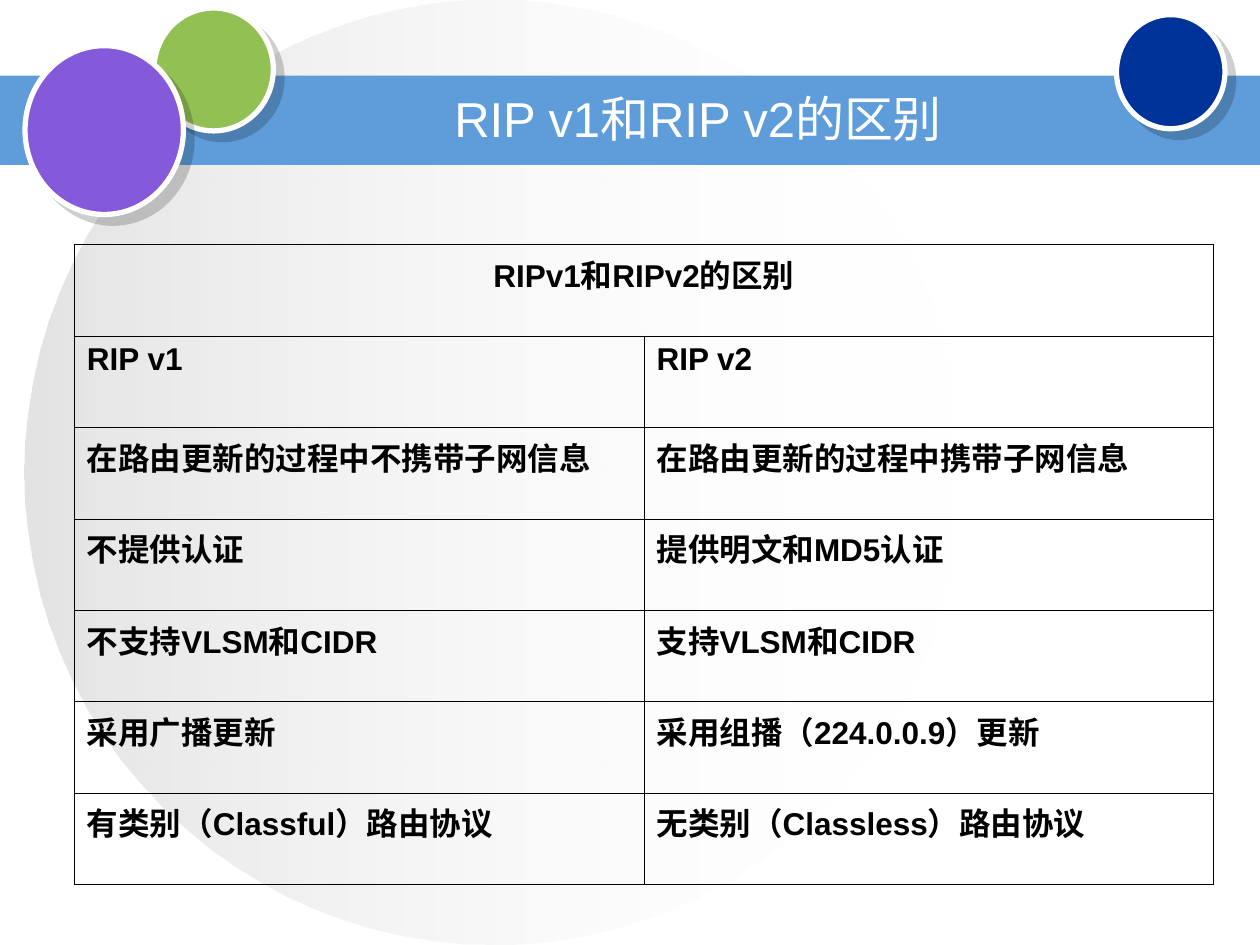
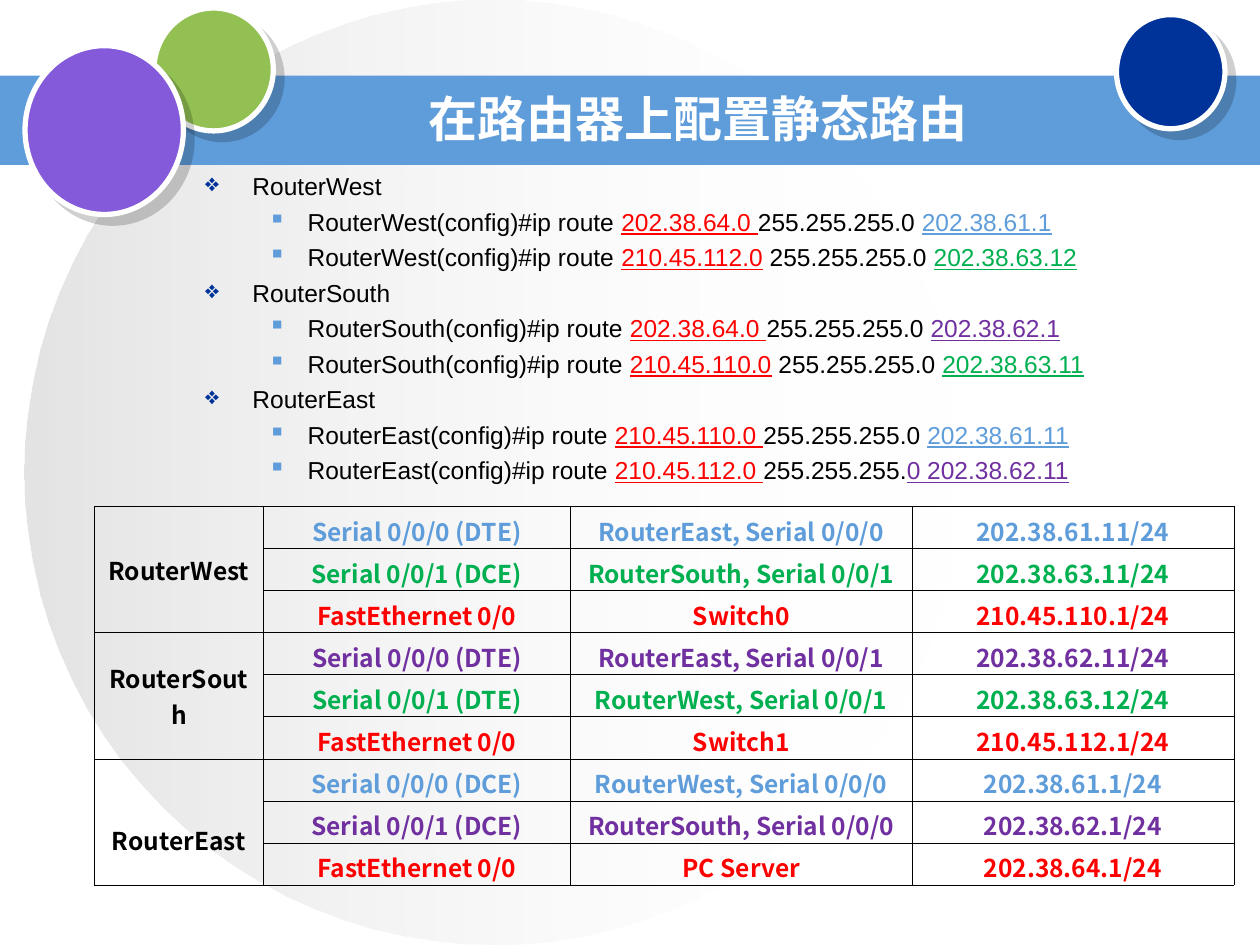
from lxml.etree import SubElement
from pptx import Presentation
from pptx.dml.color import RGBColor
from pptx.enum.shapes import MSO_SHAPE
from pptx.enum.text import MSO_ANCHOR, MSO_AUTO_SIZE, PP_ALIGN
from pptx.oxml.ns import qn
from pptx.util import Pt

# Shared colours and fonts
BLACK = RGBColor(0x00, 0x00, 0x00)
WHITE = RGBColor(0xFF, 0xFF, 0xFF)
SILVER = RGBColor(0xC0, 0xC0, 0xC0)
SKY = RGBColor(0x5E, 0x9C, 0xDA)
LIME = RGBColor(0x93, 0xC0, 0x52)
NAVY = RGBColor(0x00, 0x33, 0x99)
VIOLET = RGBColor(0x85, 0x5A, 0xDA)
RED = RGBColor(0xFF, 0x00, 0x00)
GREEN = RGBColor(0x00, 0xB0, 0x50)
PURPLE = RGBColor(0x70, 0x30, 0xA0)
LATIN_FONT = "Arial"
CHINESE_FONT = "Noto Sans CJK SC"

TITLE_FORMAT = {"name": LATIN_FONT, "size": Pt(28), "bold": False}
VERSION_FORMAT = {"name": LATIN_FONT, "size": Pt(18), "bold": True}
COMMAND_FORMAT = {"name": LATIN_FONT, "size": Pt(14)}
PORT_FORMAT = {"name": CHINESE_FONT, "size": Pt(14), "bold": True}

# Boxes: left, top, width, height in points
TITLE_BOX = (162, 48.2, 473.8, 38.2)
VERSION_BOX = (42.5, 139.7, 651, 365.8)
ROUTE_BOX = (110.2, 94.3, 651, 187.2)
PORT_BOX = (54, 289.3, 651, 216)
BACKDROP_BOX = (14.2, 0, 535.7, 540)
BAND_BOX = (0, 43.2, 720, 51.1)
DISCS = [
    ((88, 4.6, 68.2, 70.2), LIME),
    ((638, 8.4, 62, 65.2), NAVY),
    ((14.3, 26.1, 90.5, 96.5), VIOLET),
]

VERSION_HEADING = "RIPv1和RIPv2的区别"
VERSION_ROWS = [
    ("RIP v1", "RIP v2"),
    ("在路由更新的过程中不携带子网信息", "在路由更新的过程中携带子网信息"),
    ("不提供认证", "提供明文和MD5认证"),
    ("不支持VLSM和CIDR", "支持VLSM和CIDR"),
    ("采用广播更新", "采用组播（224.0.0.9）更新"),
    ("有类别（Classful）路由协议", "无类别（Classless）路由协议"),
]

# Router, then destination, mask, next hop and colour of the hop
STATIC_ROUTES = {
    "RouterWest": [
        ("202.38.64.0 ", "255.255.255.0 ", "202.38.61.1", SKY),
        ("210.45.112.0", " 255.255.255.0 ", "202.38.63.12", GREEN),
    ],
    "RouterSouth": [
        ("202.38.64.0 ", "255.255.255.0 ", "202.38.62.1", PURPLE),
        ("210.45.110.0", " 255.255.255.0 ", "202.38.63.11", GREEN),
    ],
    "RouterEast": [
        ("210.45.110.0 ", "255.255.255.0 ", "202.38.61.11", SKY),
        ("210.45.112.0 ", "255.255.255.", "0 202.38.62.11", PURPLE),
    ],
}

# Router, then port, neighbour, address and colour of the link
ROUTER_PORTS = {
    "RouterWest": [
        ("Serial 0/0/0 (DTE)", "RouterEast, Serial 0/0/0", "202.38.61.11/24", SKY),
        ("Serial 0/0/1 (DCE)", "RouterSouth, Serial 0/0/1", "202.38.63.11/24", GREEN),
        ("FastEthernet 0/0", "Switch0", "210.45.110.1/24", RED),
    ],
    "RouterSouth": [
        ("Serial 0/0/0 (DTE)", "RouterEast, Serial 0/0/1", "202.38.62.11/24", PURPLE),
        ("Serial 0/0/1 (DTE)", "RouterWest, Serial 0/0/1", "202.38.63.12/24", GREEN),
        ("FastEthernet 0/0", "Switch1", "210.45.112.1/24", RED),
    ],
    "RouterEast": [
        ("Serial 0/0/0 (DCE)", "RouterWest, Serial 0/0/0", "202.38.61.1/24", SKY),
        ("Serial 0/0/1 (DCE)", "RouterSouth, Serial 0/0/0", "202.38.62.1/24", PURPLE),
        ("FastEthernet 0/0", "PC Server", "202.38.64.1/24", RED),
    ],
}


def apply_format(target, values):
    for name, value in values.items():
        setattr(target, name, value)


def points(box):
    return [Pt(length) for length in box]


def add_run(paragraph, text, font_format, colour, underline=False):
    run = paragraph.add_run()
    run.text = text
    apply_format(run.font, {**font_format, "underline": underline})
    run.font.color.rgb = colour
    SubElement(run.font._element, qn("a:ea"), typeface=CHINESE_FONT)


def add_panel(slide, preset, box):
    shape = slide.shapes.add_shape(preset, *points(box))
    shape.shadow.inherit = False
    shape.line.fill.background()
    return shape


# Master: backdrop, band and discs
def add_backdrop(slide, box):
    shape = add_panel(slide, MSO_SHAPE.OVAL, box)
    shape.fill.gradient()
    shape.fill.gradient_angle = 0
    for stop, colour in zip(shape.fill.gradient_stops, (SILVER, WHITE)):
        stop.color.rgb = colour
    colours = list(shape.element.spPr.iter(qn("a:srgbClr")))
    for colour, alpha in zip(colours, (44000, 0)):
        SubElement(colour, qn("a:alpha"), val=str(alpha))
    return shape


def add_band(slide, box):
    shape = add_panel(slide, MSO_SHAPE.RECTANGLE, box)
    shape.fill.solid()
    shape.fill.fore_color.rgb = SKY
    return shape


def add_disc(slide, box, colour):
    shape = add_panel(slide, MSO_SHAPE.OVAL, box)
    shape.fill.solid()
    shape.fill.fore_color.rgb = colour
    shape.line.color.rgb = WHITE
    shape.line.width = Pt(3)
    effects = shape.element.spPr.find(qn("a:effectLst"))
    shadow = SubElement(effects, qn("a:outerShdw"), blurRad="0", dist=str(Pt(7.1)),
                        dir="2700000", algn="ctr", rotWithShape="0")
    shadow_colour = SubElement(shadow, qn("a:srgbClr"), val=str(BLACK))
    SubElement(shadow_colour, qn("a:alpha"), val="19000")
    return shape


def decorate_master(master, slide):
    """Draw the shared parts on a slide, then move them to the back of the master."""
    parts = [add_backdrop(slide, BACKDROP_BOX), add_band(slide, BAND_BOX)]
    parts += [add_disc(slide, box, colour) for box, colour in DISCS]
    for index, part in enumerate(parts):
        part.element.nvSpPr.cNvPr.set("id", str(100 + index))
        master.shapes.element.insert(2 + index, part.element)


# Title
def set_title(slide, box, text, bold=False):
    title = slide.shapes.title
    apply_format(title, dict(zip(("left", "top", "width", "height"), points(box))))
    apply_format(title.text_frame, {
        "vertical_anchor": MSO_ANCHOR.MIDDLE, "word_wrap": True,
        "auto_size": MSO_AUTO_SIZE.NONE,
    })
    paragraph = title.text_frame.paragraphs[0]
    paragraph.alignment = PP_ALIGN.CENTER
    add_run(paragraph, text, {**TITLE_FORMAT, "bold": bold}, WHITE)


# Tables
def add_grid(slide, box, row_count, column_widths):
    frame = slide.shapes.add_table(row_count, len(column_widths), *points(box))
    table = frame.table
    apply_format(table, {"first_row": False, "horz_banding": False})
    for column, width in zip(table.columns, column_widths):
        column.width = Pt(width)
    for row in table.rows:
        row.height = Pt(box[3] / row_count)
    for cell in table.iter_cells():
        properties = cell._tc.get_or_add_tcPr()
        for side in ("lnL", "lnR", "lnT", "lnB"):
            border = SubElement(properties, qn(f"a:{side}"), w=str(Pt(0.23)))
            border_fill = SubElement(border, qn("a:solidFill"))
            SubElement(border_fill, qn("a:srgbClr"), val=str(BLACK))
        cell.fill.background()
    return table


def fill_cell(cell, text, font_format, colour, alignment, space_before):
    paragraph = cell.text_frame.paragraphs[0]
    apply_format(paragraph, {"alignment": alignment, "space_before": Pt(space_before)})
    add_run(paragraph, text, font_format, colour)


def add_version_table(slide, box):
    table = add_grid(slide, box, len(VERSION_ROWS) + 1, [box[2] / 2] * 2)
    table.cell(0, 0).merge(table.cell(0, 1))
    fill_cell(table.cell(0, 0), VERSION_HEADING, VERSION_FORMAT, BLACK, PP_ALIGN.CENTER, 4.5)
    for row, texts in enumerate(VERSION_ROWS, start=1):
        for column, text in enumerate(texts):
            fill_cell(table.cell(row, column), text, VERSION_FORMAT, BLACK, PP_ALIGN.LEFT, 4.5)


def add_port_table(slide, box):
    table = add_grid(slide, box, 9, [96.5, 175.5, 195.2, 183.8])

    def fill_port_cell(row, column, text, colour):
        cell = table.cell(row, column)
        cell.vertical_anchor = MSO_ANCHOR.MIDDLE
        fill_cell(cell, text, PORT_FORMAT, colour, PP_ALIGN.CENTER, 3.5)

    for group, (router, ports) in enumerate(ROUTER_PORTS.items()):
        first_row = group * len(ports)
        table.cell(first_row, 0).merge(table.cell(first_row + len(ports) - 1, 0))
        fill_port_cell(first_row, 0, router, BLACK)
        for row, (*texts, colour) in enumerate(ports, start=first_row):
            for column, text in enumerate(texts, start=1):
                fill_port_cell(row, column, text, colour)
    # The last router name sits below the middle of its cell
    table.cell(6, 0).margin_top = Pt(24.6)


# Static route commands
def add_bullet(paragraph, level, symbol, colour, left, hanging):
    apply_format(paragraph, {"level": level, "space_before": Pt(3.5),
                             "alignment": PP_ALIGN.LEFT})
    properties = paragraph._p.get_or_add_pPr()
    properties.set("marL", str(Pt(left)))
    properties.set("indent", str(-Pt(hanging)))
    bullet_colour = SubElement(properties, qn("a:buClr"))
    SubElement(bullet_colour, qn("a:srgbClr"), val=str(colour))
    SubElement(properties, qn("a:buChar"), char=symbol)


def add_route_list(slide, box):
    text_frame = slide.shapes.add_textbox(*points(box)).text_frame
    text_frame.word_wrap = True
    paragraph = text_frame.paragraphs[0]
    for router, routes in STATIC_ROUTES.items():
        if paragraph.runs:
            paragraph = text_frame.add_paragraph()
        add_bullet(paragraph, 0, "❖", NAVY, 27, 27)
        add_run(paragraph, router, COMMAND_FORMAT, BLACK)
        for destination, mask, hop, colour in routes:
            paragraph = text_frame.add_paragraph()
            add_bullet(paragraph, 1, "▪", SKY, 58.5, 22.5)
            add_run(paragraph, f"{router}(config)#ip route ", COMMAND_FORMAT, BLACK)
            add_run(paragraph, destination, COMMAND_FORMAT, RED, underline=True)
            add_run(paragraph, mask, COMMAND_FORMAT, BLACK)
            add_run(paragraph, hop, COMMAND_FORMAT, colour, underline=True)


# Slides
def build_version_slide(slide):
    add_version_table(slide, VERSION_BOX)
    set_title(slide, TITLE_BOX, "RIP v1和RIP v2的区别")


def build_route_slide(slide):
    set_title(slide, TITLE_BOX, "在路由器上配置静态路由", bold=True)
    add_route_list(slide, ROUTE_BOX)
    add_port_table(slide, PORT_BOX)


def main():
    presentation = Presentation()
    presentation.slide_width, presentation.slide_height = Pt(720), Pt(540)
    title_only = presentation.slide_layouts[5]
    version_slide = presentation.slides.add_slide(title_only)
    decorate_master(presentation.slide_master, version_slide)
    build_version_slide(version_slide)
    build_route_slide(presentation.slides.add_slide(title_only))
    presentation.save("out.pptx")


if __name__ == "__main__":
    main()
